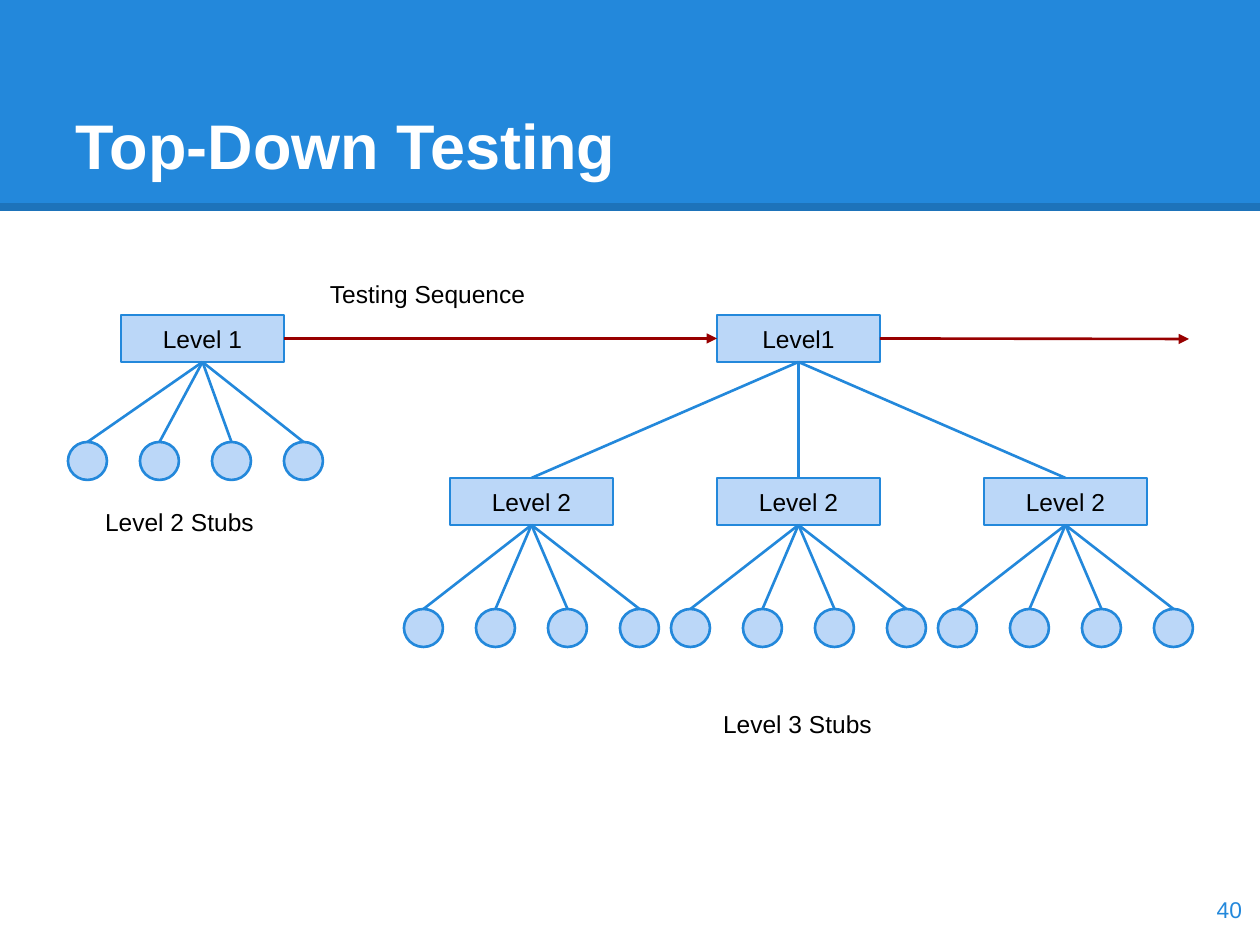
import pptx
import pptx.dml.color
import pptx.enum.shapes
import pptx.enum.text
import pptx.oxml.ns
import pptx.util
from lxml import etree

SCALE = 914400 / 126
BLUE, PALE, RED, BLACK, WHITE = "2388DB", "BBD7F8", "980000", "000000", "FFFFFF"
BOX_WIDTH, BOX_HEIGHT = 163, 47
STUB_WIDTH, STUB_HEIGHT, STUB_STEP, STUB_COUNT = 39, 38, 72, 4
ALIGN = pptx.enum.text.PP_ALIGN
ANCHOR = pptx.enum.text.MSO_ANCHOR
SHAPE = pptx.enum.shapes.MSO_SHAPE


def px(*lengths):
    """Turn pixel lengths into EMU."""
    return [pptx.util.Emu(round(length * SCALE)) for length in lengths]


def color(value):
    """Turn a hex string into a colour."""
    return pptx.dml.color.RGBColor.from_string(value)


def add_child(parent, tag, **attributes):
    """Append a drawing element with the given attributes."""
    return etree.SubElement(parent, pptx.oxml.ns.qn(tag), **attributes)


def write_text(shape, text, size=14, ink=BLACK, bold=False, align=ALIGN.LEFT, anchor=ANCHOR.TOP):
    """Write one formatted paragraph into a shape."""
    frame = shape.text_frame
    frame.word_wrap = True
    frame.auto_size = pptx.enum.text.MSO_AUTO_SIZE.NONE
    frame.vertical_anchor = anchor
    frame.margin_left, frame.margin_top, frame.margin_right, frame.margin_bottom = px(13, 13, 13, 13)
    paragraph = frame.paragraphs[0]
    paragraph.text = text
    paragraph.alignment = align
    font = paragraph.runs[0].font
    font.name, font.size, font.bold = "Arial", pptx.util.Pt(size), bold
    font.color.rgb = color(ink)


def add_label(slide, box, text, **text_format):
    """Add a text box."""
    label = slide.shapes.add_textbox(*px(*box))
    write_text(label, text, **text_format)


def add_node(slide, kind, box, fill=PALE, line=BLUE):
    """Add a filled shape with an optional outline."""
    node = slide.shapes.add_shape(kind, *px(*box))
    node.shadow.inherit = False
    node.fill.solid()
    node.fill.fore_color.rgb = color(fill)
    if line:
        node.line.color.rgb = color(line)
        node.line.width = pptx.util.Pt(1.5)
    else:
        node.line.fill.background()
    return node


def add_line(slide, ends=(0, 0, 0, 0), ink=BLUE, width=1.5, start=None, finish=None, arrow=False):
    """Add a straight connector, joined to (shape, side) pairs where given."""
    straight = pptx.enum.shapes.MSO_CONNECTOR.STRAIGHT
    connector = slide.shapes.add_connector(straight, *px(*ends))
    if start:
        connector.begin_connect(*start)
    if finish:
        connector.end_connect(*finish)
    connector.line.color.rgb = color(ink)
    connector.line.width = pptx.util.Pt(width)
    if arrow:
        add_child(connector.line._get_or_add_ln(), "a:tailEnd", type="triangle")
    add_child(connector.element.spPr, "a:effectLst")
    return connector


def add_level(slide, left, top, text):
    """Add a labelled level box."""
    level = add_node(slide, SHAPE.RECTANGLE, (left, top, BOX_WIDTH, BOX_HEIGHT))
    write_text(level, text, align=ALIGN.CENTER, anchor=ANCHOR.MIDDLE)
    return level


def add_level_with_stubs(slide, left, top, text, shift, drop):
    """Add a level box with its row of stubs, offset from the box corner."""
    level = add_level(slide, left, top, text)
    for index in range(STUB_COUNT):
        stub_left = left + shift + index * STUB_STEP
        stub = add_node(slide, SHAPE.OVAL, (stub_left, top + drop, STUB_WIDTH, STUB_HEIGHT))
        add_line(slide, start=(level, 2), finish=(stub, 0))
    return level


def add_header(slide, left, top, width, height):
    """Place the title on a blue band with a darker lower edge."""
    title = slide.shapes.title
    title.left, title.top, title.width, title.height = px(left + 63, top + 38, width - 126, 157)
    write_text(title, "Top-Down Testing", size=36, ink=WHITE, bold=True, anchor=ANCHOR.BOTTOM)
    band = add_node(slide, SHAPE.RECTANGLE, (left, top, width, height), fill=BLUE, line=None)
    edge_top = top + height - 4
    edge = add_line(slide, (left, edge_top, left + width, edge_top), ink=BLACK, width=4.5)
    ink = edge.element.spPr.find(".//" + pptx.oxml.ns.qn("a:srgbClr"))
    add_child(ink, "a:alpha", val="15000")
    for part in (band, edge):
        title.element.addprevious(part.element)


def add_first_step(slide, left, top):
    """Add the top level tested with level 2 stubs."""
    level = add_level_with_stubs(slide, left + 53, top, "Level 1", -53, 127)
    add_label(slide, (left + 24, top + 179, 207, 58), "Level 2 Stubs")
    return level


def add_second_step(slide, left, top):
    """Add the top level with three level 2 parts and their stubs."""
    step = 267
    root = add_level(slide, left + 46 + step, top, "Level1")
    for index in range(3):
        level = add_level_with_stubs(slide, left + 46 + index * step, top + 163, "Level 2", -46, 131)
        add_line(slide, start=(root, 2), finish=(level, 0))
    add_label(slide, (left + 306, top + 381, 207, 58), "Level 3 Stubs")
    return root


def add_sequence(slide, first, second, left, top, end):
    """Add the red arrows and label of the testing sequence."""
    add_line(slide, ink=RED, start=(first, 3), finish=(second, 1), arrow=True)
    add_line(slide, (0, 0, end, top + 73), ink=RED, start=(second, 3), arrow=True)
    add_label(slide, (left, top, 307, 58), "Testing Sequence")


def main():
    """Build and save the slide."""
    presentation = pptx.Presentation()
    presentation.slide_width, presentation.slide_height = px(1260, 945)
    slide = presentation.slides.add_slide(presentation.slide_layouts[5])
    add_header(slide, 0, 0, 1260, 211)
    first = add_first_step(slide, 68, 315)
    second = add_second_step(slide, 404, 315)
    add_sequence(slide, first, second, 317, 266, 1189)
    add_label(slide, (1179, 873, 76, 72), "40", size=13, ink=BLUE, align=ALIGN.RIGHT, anchor=ANCHOR.MIDDLE)
    presentation.save("out.pptx")


if __name__ == "__main__":
    main()
